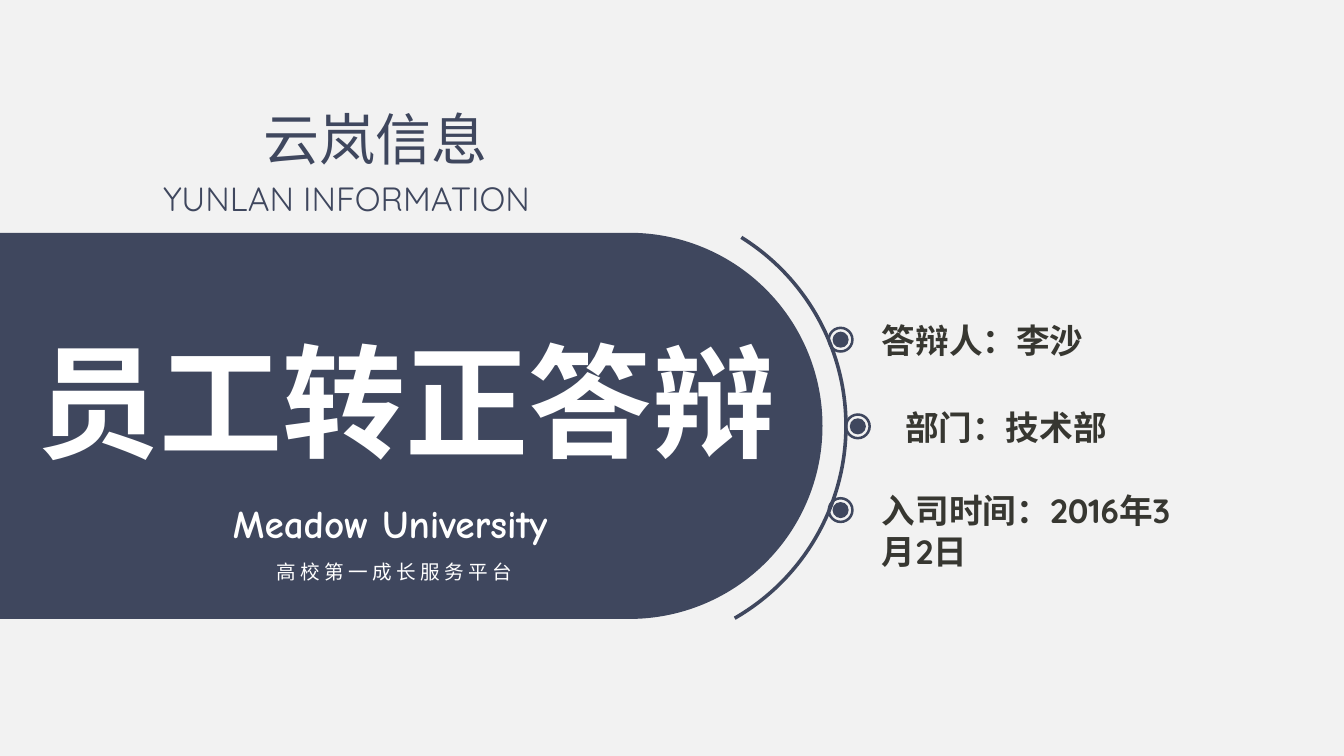
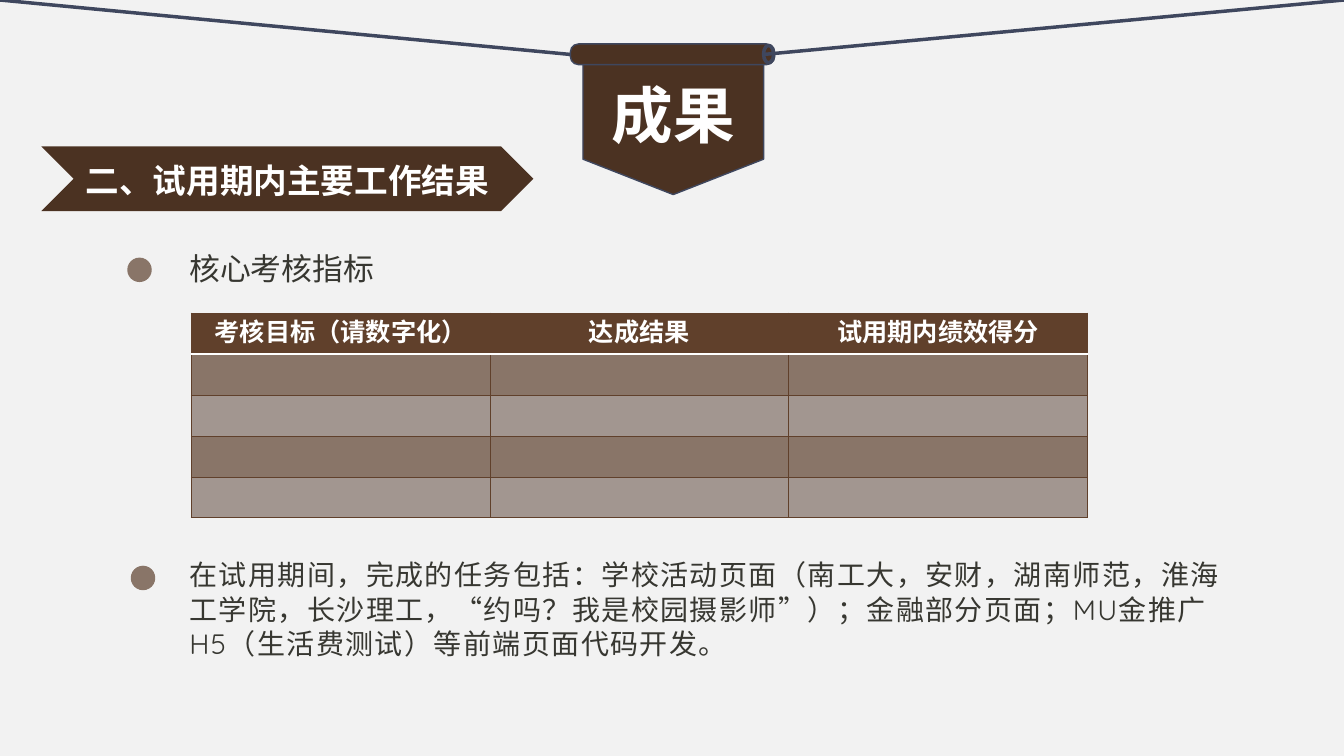
import pptx
import pptx.util
import pptx.oxml
import pptx.oxml.ns
import pptx.dml.color
import pptx.enum.shapes
import pptx.enum.text

Pt = pptx.util.Pt
qn = pptx.oxml.ns.qn
SHAPE = pptx.enum.shapes.MSO_SHAPE
ALIGN = pptx.enum.text.PP_ALIGN
ANCHOR = pptx.enum.text.MSO_ANCHOR

COLORS = {
    "paper": "F2F2F2", "navy": "3F475E", "ink": "373731", "white": "FFFFFF",
    "brown": "4B3222", "header": "60402B", "band": "897568", "pale_band": "A29690",
}
CJK = "Noto Sans CJK SC"
CJK_JP = "Noto Sans CJK JP"
ROUND_FONT = "Quicksand"
WIDTH, HEIGHT = 960, 540


def color(name):
    """Return the named colour."""
    return pptx.dml.color.RGBColor.from_string(COLORS[name])


def lengths(box):
    """Turn a box of numbers into lengths in points."""
    return [Pt(value) for value in box]


def style_text(frame, size, font, tone, bold=False, align=ALIGN.LEFT, spacing=0):
    """Format every run of a text frame, with line height set by the font."""
    leading = 1.3 if font in (CJK, CJK_JP) else 1.22
    for para in frame.paragraphs:
        para.alignment = align
        para.line_spacing = Pt(round(size * leading, 1))
        para.space_before = Pt(0)
        for span in para.runs:
            span.font.size = Pt(size)
            span.font.name = font
            span.font.bold = bold
            span.font.color.rgb = color(tone)
            props = span.font._element
            east = props.makeelement(qn("a:ea"), {"typeface": font if font == CJK_JP else CJK})
            props.find(qn("a:latin")).addnext(east)
            if spacing:
                props.set("spc", str(spacing * 100))


def add_text(page, box, text, size, font, tone, **style):
    """Add a wrapping text box, anchored at its top."""
    frame = page.shapes.add_textbox(*lengths(box)).text_frame
    frame.word_wrap = True
    frame.text = text
    style_text(frame, size, font, tone, **style)


def set_title(page, box, text, size):
    """Move the title placeholder into the box, in front of the other shapes."""
    title = page.shapes.title
    title.left, title.top, title.width, title.height = lengths(box)
    frame = title.text_frame
    frame.text = text
    frame.word_wrap = True
    frame.auto_size = pptx.enum.text.MSO_AUTO_SIZE.NONE
    frame.vertical_anchor = ANCHOR.TOP
    style_text(frame, size, CJK, "white", bold=True, align=ALIGN.CENTER)
    title.element.getparent().append(title.element)


def paint(shape, fill, line=None, width=1):
    """Give a shape a flat fill and an optional outline."""
    shape.shadow.inherit = False
    shape.fill.solid()
    shape.fill.fore_color.rgb = color(fill)
    if line:
        shape.line.color.rgb = color(line)
        shape.line.width = Pt(width)
    else:
        shape.line.fill.background()
    return shape


def add_shape(page, kind, box, fill, line=None, width=1, adjust=()):
    """Add a flat preset shape."""
    shape = page.shapes.add_shape(kind, *lengths(box))
    for index, value in enumerate(adjust):
        shape.adjustments[index] = value
    return paint(shape, fill, line, width)


def add_cord(page, start, end):
    """Add a navy line between two points."""
    cord = page.shapes.add_connector(
        pptx.enum.shapes.MSO_CONNECTOR.STRAIGHT, *lengths(start + end))
    cord.line.color.rgb = color("navy")
    cord.line.width = Pt(2.5)
    props = cord._element.spPr
    props.append(props.makeelement(qn("a:effectLst"), {}))


def cover_panel(page, box):
    """Draw the rounded panel that runs in from the left, and the arc beside it."""
    left, top, width, height = box
    shift = (width - height) / 2
    panel = add_shape(page, SHAPE.ROUND_2_SAME_RECTANGLE,
                      (left + shift, top - shift, height, width), "navy", adjust=(0.5, 0))
    panel.rotation = 90
    size = 319.7
    arc = add_shape(page, SHAPE.BLOCK_ARC,
                    (left + width + 18 - size, top + height / 2 - size / 2, size, size),
                    "navy", adjust=(127.149, 198.052, 0.008))
    arc.rotation = 90


def cover_heading(page, box):
    """Write the organisation's name in two languages."""
    left, top, width, height = box
    add_text(page, (left + 72, top, 193, 60), "云岚信息", 40, CJK_JP, "navy")
    add_text(page, (left, top + height - 40, width, 40), "YUNLAN INFORMATION",
             24, ROUND_FONT, "navy")


def cover_platform(page, box):
    """Write the platform's name and its motto, centred."""
    left, top, width, height = box
    add_text(page, (left, top, width, 41), "Meadow University", 28, "Comic Neue",
             "white", bold=True, align=ALIGN.CENTER)
    add_text(page, (left + 3, top + height - 28, width, 28), "高 校 第 一 成 长 服 务 平 台",
             14, CJK, "white", align=ALIGN.CENTER)


def cover_detail(page, box, text):
    """Draw a ringed dot with a line of text to its right."""
    left, top, width, height = box
    ring, dot = 18.7, 11.5
    inset = (ring - dot) / 2
    add_shape(page, SHAPE.DONUT, (left, top, ring, ring), "navy", adjust=(0.097,))
    add_shape(page, SHAPE.OVAL, (left + inset, top + inset, dot, dot), "navy")
    gap = 36 if left > 600 else 31.7
    add_text(page, (left + gap, top - 8.9, width - gap, height), text,
             24, ROUND_FONT, "ink", bold=True)


def build_cover(page):
    """Build the cover slide."""
    cover_panel(page, (0, 166.3, 587.5, 275.8))
    cover_heading(page, (109.4, 67, 350, 96))
    cover_platform(page, (13.7, 352.8, 530, 70))
    details = [(591.1, 233.3, "答辩人：李沙"), (603.4, 295.2, "部门：技术部"),
               (591.1, 355, "入司时间：2016年3月2日")]
    for left, top, text in details:
        cover_detail(page, (left, top, 270, 65), text)
    set_title(page, (8.6, 220.3, 562.3, 124), "员工转正答辩", 88)


def hanging_banner(page, box, text):
    """Draw the pennant on its rod and cords, with the slide title on it."""
    left, top, width, height = box
    right, bottom, shoulder = left + width, top + height, top + height * 0.73
    outline = page.shapes.build_freeform(Pt(left), Pt(top), scale=1.0)
    corners = [(right, top), (right, shoulder), (left + width / 2, bottom), (left, shoulder)]
    outline.add_line_segments([lengths(corner) for corner in corners], close=True)
    paint(outline.convert_to_shape(), "brown", "navy")
    rod_left, rod_top = left - 9, top - 14
    add_shape(page, SHAPE.ROUNDED_RECTANGLE, (rod_left, rod_top, width + 17, 14.8),
              "brown", "navy", adjust=(0.395,))
    add_shape(page, SHAPE.OVAL, (right, rod_top + 1, 7.2, 12.5), "brown", "navy", 2.5)
    add_cord(page, (0, 0), (rod_left, rod_top + 7.5))
    add_cord(page, (WIDTH, 0), (right, rod_top + 7.5))
    set_title(page, (left, top + 1.6, width, 66), text, 44)


def section_ribbon(page, box, text):
    """Draw a chevron with the section heading."""
    frame = add_shape(page, SHAPE.CHEVRON, box, "brown").text_frame
    frame.text = text
    frame.word_wrap = False
    frame.vertical_anchor = ANCHOR.MIDDLE
    style_text(frame, 24, CJK, "white", bold=True, align=ALIGN.CENTER)


def bullet_text(page, box, text, size, dot_left, spacing=0):
    """Write a paragraph with a round marker to its left."""
    add_text(page, box, text, size, ROUND_FONT, "ink", spacing=spacing)
    add_shape(page, SHAPE.OVAL, (dot_left, box[1] + 9.5, 17.5, 17.5), "band")


def edge_cell(cell, edges):
    """Draw the borders of a cell from a dict of side: (colour, width)."""
    props = cell._tc.get_or_add_tcPr()
    for index, (side, (tone, width)) in enumerate(edges.items()):
        line = props.makeelement(qn("a:ln" + side), {"w": str(int(Pt(width)))})
        fill = line.makeelement(qn("a:solidFill"), {})
        fill.append(fill.makeelement(qn("a:srgbClr"), {"val": COLORS[tone]}))
        line.append(fill)
        props.insert(index, line)


def score_table(page, box, headings, row_count):
    """Add the banded score table."""
    table = page.shapes.add_table(row_count, len(headings), *lengths(box)).table
    for column, heading in enumerate(headings):
        table.cell(0, column).text = heading
    for row in range(row_count):
        fill = "header" if row == 0 else "band" if row % 2 else "pale_band"
        for column in range(len(headings)):
            cell = table.cell(row, column)
            cell.margin_top = cell.margin_bottom = Pt(2)
            cell.vertical_anchor = ANCHOR.MIDDLE
            cell.fill.solid()
            cell.fill.fore_color.rgb = color(fill)
            edges = dict.fromkeys("LRTB", ("header", 0.5))
            if row < 2:
                edges["T" if row else "B"] = ("white", 1)
            edge_cell(cell, edges)
            style_text(cell.text_frame, 18, "Arial", "white", bold=True, align=ALIGN.CENTER)


def build_results(page):
    """Build the results slide."""
    hanging_banner(page, (416.4, 45.4, 129, 93.6), "成果")
    section_ribbon(page, (29.5, 104.6, 351.4, 46.2), "二、试用期内主要工作结果")
    bullet_text(page, (128.2, 174.5, 739, 34), "核心考核指标", 22, 90.9)
    score_table(page, (136.6, 223.6, 640.2, 146.4),
                ["考核目标（请数字化）", "达成结果", "试用期内绩效得分"], 5)
    bullet_text(
        page, (128.2, 394.6, 766.8, 79),
        "在试用期间，完成的任务包括：学校活动页面（南工大，安财，湖南师范，淮海工学院，长沙理工，"
        "“约吗？我是校园摄影师”）；金融部分页面；MU金推广H5（生活费测试）等前端页面代码开发。",
        20, 93.4, spacing=1)


def main():
    """Build and save the deck."""
    deck = pptx.Presentation()
    deck.slide_width, deck.slide_height = Pt(WIDTH), Pt(HEIGHT)
    backdrop = deck.slide_master.background.fill
    backdrop.solid()
    backdrop.fore_color.rgb = color("paper")
    for build in (build_cover, build_results):
        build(deck.slides.add_slide(deck.slide_layouts[5]))
    deck.save("out.pptx")


main()
